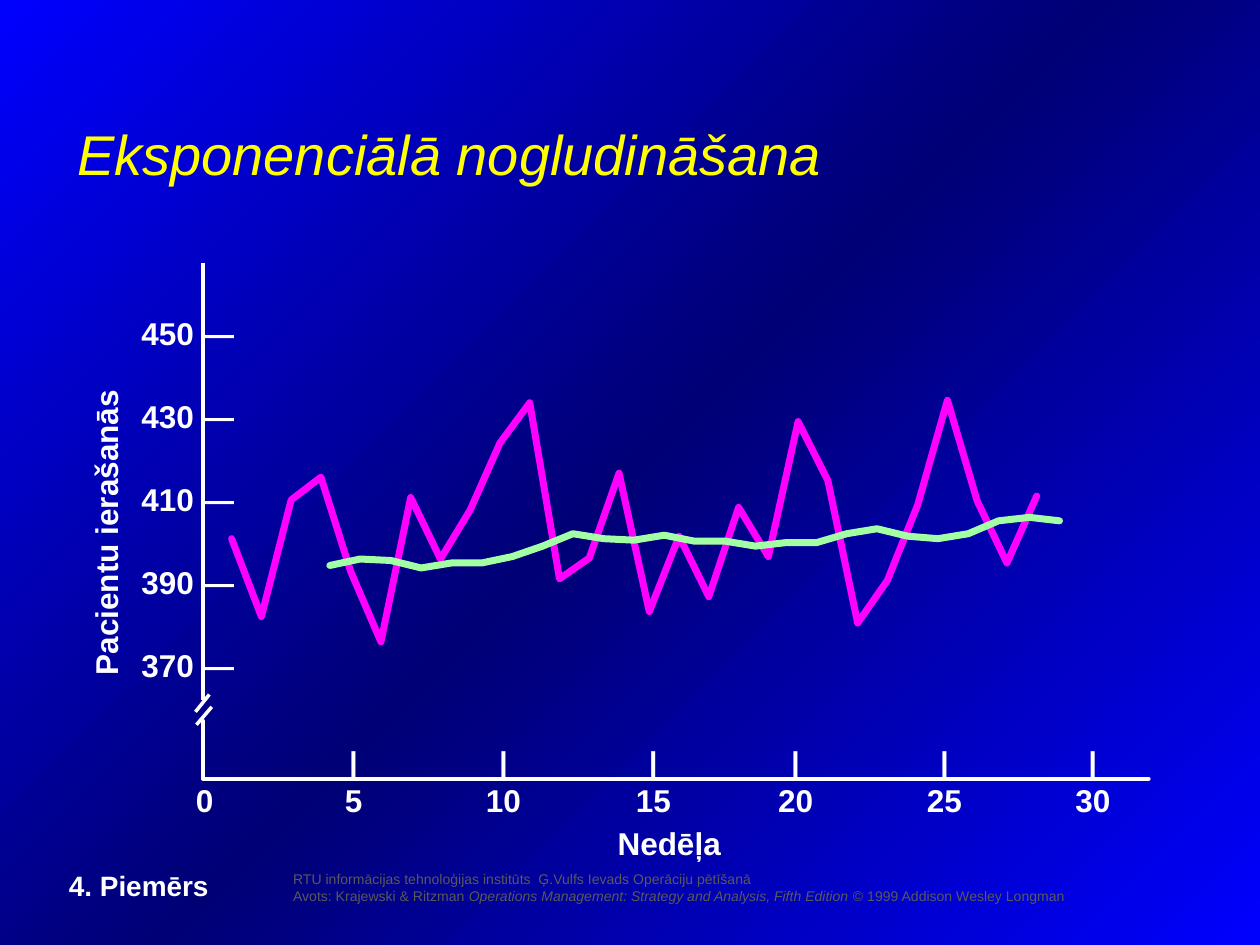
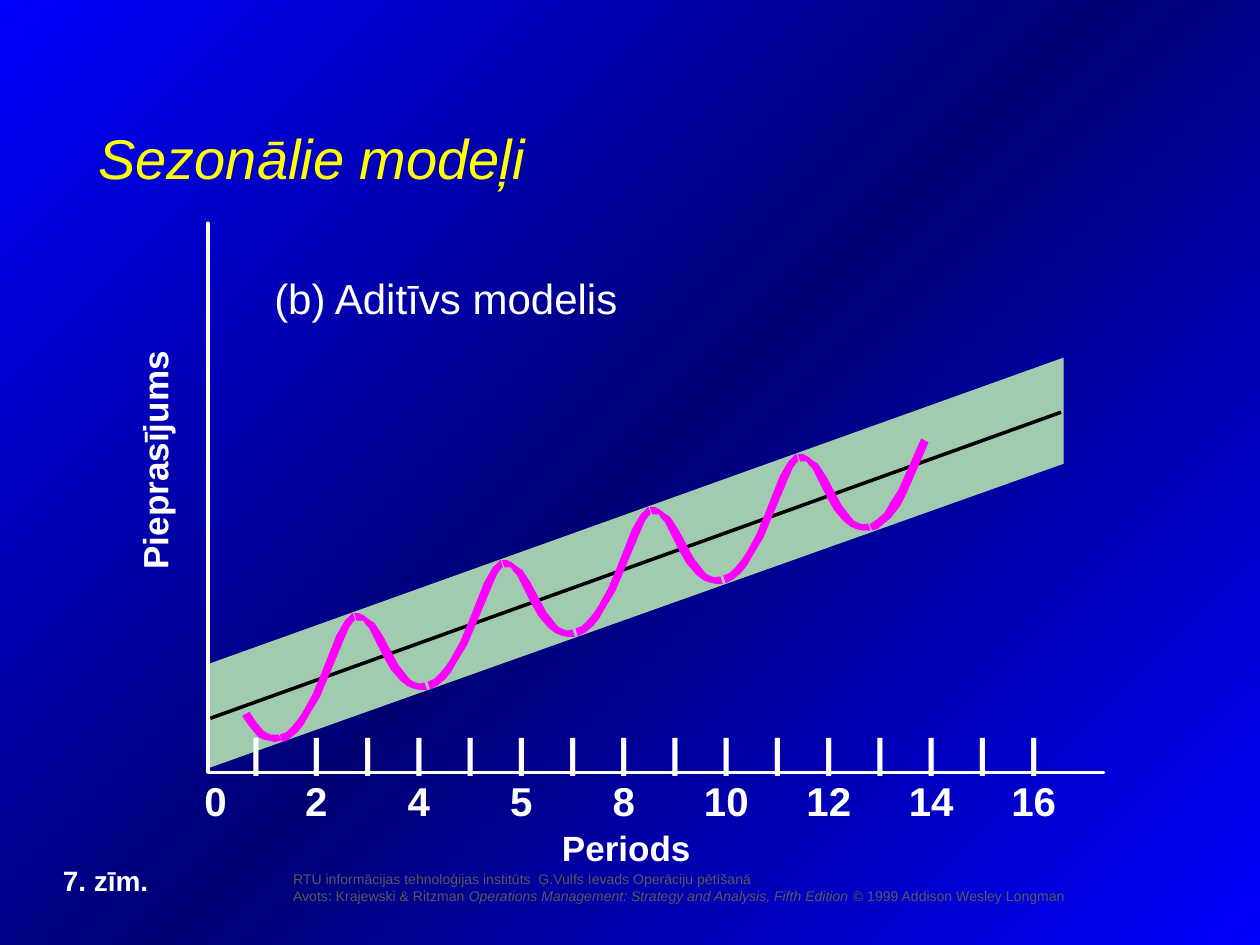
from dataclasses import dataclass

from lxml import etree
from pptx import Presentation
from pptx import util as u
from pptx.dml.color import RGBColor
from pptx.enum import shapes, text
from pptx.oxml import ns


@dataclass(frozen=True)
class Theme:
    font: str = "Arial"
    bright: str = "0000FF"
    deep: str = "000075"
    title: str = "FFFF00"
    ink: str = "FFFFFF"
    muted: str = "595959"
    demand: str = "FF00FF"
    smooth: str = "A2FFA3"
    band: str = "A1CBAF"
    trend: str = "000000"
    title_size: int = 32
    subtitle_size: int = 24
    period_size: int = 23
    axis_size: int = 20
    label_size: int = 18
    caption_size: int = 16
    footer_size: int = 8
    axis_width: int = 2
    series_width: int = 4


THEME = Theme()

FOOTER = [
    [("RTU informācijas tehnoloģijas institūts  Ģ.Vulfs Ievads Operāciju pētīšanā", False)],
    [("Avots: Krajewski & Ritzman ", False),
     ("Operations Management: Strategy and Analysis, Fifth Edition", True),
     (" © 1999 Addison Wesley Longman", False)],
]

ARRIVALS = [401, 382.2, 410.4, 415.9, 393.1, 376.1, 411, 396.1, 408, 424.1,
            433.8, 391.3, 396.4, 416.8, 383.4, 401.6, 387, 408.6, 396.7, 429.3,
            415, 380.6, 391, 409.2, 434.4, 410.1, 395.2, 411.3]
SMOOTHED = [394.6, 396.1, 395.8, 394, 395.2, 395.2, 396.7, 399.2, 402.2, 401,
            400.7, 401.9, 400.4, 400.4, 399.2, 400.1, 400.1, 402.2, 403.4,
            401.6, 401, 402.2, 405.3, 406.2, 405.3]
ARRIVALS_SPAN = (4.67, 20.9)
SMOOTHED_SPAN = (6.65, 21.36)
PATIENT_TICKS = [450, 430, 410, 390, 370]
TOP_TICK_Y, PATIENT_STEP = 6.77, 1.67 / 20
WEEKS = ["0", "5", "10", "15", "20", "25", "30"]
WEEK_TABS = [3.18, 6.2, 9.22, 12.09, 15.09, 18.08]
WEEK_AXES = [[(4.09, 5.31), (4.09, 14.12)],
             [(4.09, 14.53), (4.09, 15.7), (23.16, 15.7)]]
AXIS_BREAKS = [[(3.94, 14.35), (4.22, 14)], [(3.96, 14.61), (4.27, 14.25)]]

PERIODS = ["0", "2", "4", "5", "8", "10", "12", "14", "16"]
PERIOD_COUNT = 16
PERIOD_TABS = [1.04] + [2.26 + 14.46 * i / 14 for i in range(PERIOD_COUNT - 1)]
BAND = [(21.44, 7.21), (21.44, 9.35), (4.19, 15.49), (4.19, 13.39)]
TREND = [(4.24, 14.48), (21.39, 8.31)]
PERIOD_AXES = [(4.19, 4.5), (4.19, 15.57), (22.25, 15.57)]

SEASONS, SEASON_SHIFT = 4, (2.98, -1.07)
FALL = [(1.47, 1.55), (1.32, 1.55), (1.19, 1.52), (1.07, 1.47), (0.94, 1.37),
        (0.74, 1.14), (0.58, 0.86), (0.3, 0.3), (0.23, 0.23), (0.18, 0.15),
        (0.05, 0.15), (0, 0), (0.1, 0), (0.2, 0.05), (0.3, 0.13), (0.41, 0.2),
        (0.58, 0.46), (0.74, 0.76), (0.89, 1.04), (1.07, 1.27), (1.14, 1.35),
        (1.24, 1.4), (1.32, 1.42), (1.42, 1.4)]
RISE = [(1.52, 0.15), (1.47, 0.2), (1.4, 0.3), (1.3, 0.53), (0.99, 1.27),
        (0.81, 1.7), (0.58, 2.08), (0.48, 2.26), (0.36, 2.41), (0.2, 2.54),
        (0.05, 2.62), (0, 2.46), (0.13, 2.41), (0.25, 2.29), (0.36, 2.16),
        (0.46, 2.01), (0.66, 1.65), (0.84, 1.22), (1.14, 0.46), (1.32, 0.15),
        (1.4, 0.08), (1.47, 0)]
FIRST_DIP = [(0.79, 0.58), (0.66, 0.61), (0.53, 0.58), (0.43, 0.56), (0.33, 0.51),
             (0.15, 0.3), (0, 0.08), (0.15, 0), (0.28, 0.2), (0.43, 0.38),
             (0.51, 0.43), (0.58, 0.46), (0.74, 0.46)]
LAST_RISE = [(1.19, 0.08), (0.74, 1.12), (0.61, 1.37), (0.43, 1.6), (0.25, 1.75),
             (0.15, 1.83), (0.05, 1.85), (0, 1.73), (0.15, 1.63), (0.3, 1.5),
             (0.43, 1.27), (0.58, 1.04), (1.04, 0)]
FALL_START, RISE_START = (7.14, 12.36), (5.64, 12.35)
FIRST_DIP_START, LAST_RISE_START = (4.88, 14.35), (17.53, 8.84)


def color(value):
    return RGBColor.from_string(value)


def set_line(line, value, width):
    line.fill.solid()
    line.fill.fore_color.rgb = color(value)
    line.width = u.Pt(width)


def round_ends(line):
    stroke = line._get_or_add_ln()
    stroke.set("cap", "rnd")
    etree.SubElement(stroke, ns.qn("a:round"))


def add_span(para, words, size, value, bold=False, italic=False):
    span = para.add_run()
    span.text = words
    span.font.name = THEME.font
    span.font.size = u.Pt(size)
    span.font.color.rgb = color(value)
    span.font.bold = bold
    span.font.italic = italic


def add_tabs(para, stops):
    tabs = etree.SubElement(para._p.get_or_add_pPr(), ns.qn("a:tabLst"))
    for stop in stops:
        etree.SubElement(tabs, ns.qn("a:tab"), pos=str(u.Cm(stop)), algn="ctr")


def add_label(page, lines, place, size, bold=True, value=THEME.ink,
              inset=(0.25, 0.13), tabs=(), spacing=None, rotation=0):
    box = page.shapes.add_textbox(*map(u.Cm, place))
    box.rotation = rotation
    frame = box.text_frame
    frame.word_wrap = True
    frame.margin_left = frame.margin_right = u.Cm(inset[0])
    frame.margin_top = frame.margin_bottom = u.Cm(inset[1])
    for i, spans in enumerate(lines):
        para = frame.add_paragraph() if i else frame.paragraphs[0]
        if tabs:
            add_tabs(para, tabs)
        if spacing:
            para.line_spacing = spacing
        for words, italic in spans:
            add_span(para, words, size, value, bold, italic)
    return box


def plain(*lines):
    return [[(line, False)] for line in lines]


def add_outline(page, points, origin=(0, 0), fill=None, line=None, width=THEME.axis_width):
    grid = [(round(x * 100), round(y * 100)) for x, y in points]
    builder = page.shapes.build_freeform(*grid[0], scale=float(u.Cm(0.01)))
    builder.add_line_segments(grid[1:], close=fill is not None)
    shape = builder.convert_to_shape(*map(u.Cm, origin))
    shape.shadow.inherit = False
    if fill:
        shape.fill.solid()
        shape.fill.fore_color.rgb = color(fill)
        shape.line.fill.background()
    else:
        shape.fill.background()
        set_line(shape.line, line, width)
        round_ends(shape.line)


def add_line(page, ends, value):
    start, end = ends
    line = page.shapes.add_connector(shapes.MSO_CONNECTOR.STRAIGHT,
                                     *map(u.Cm, (*start, *end)))
    set_line(line.line, value, THEME.axis_width)
    etree.SubElement(line._element.spPr, ns.qn("a:effectLst"))


def add_series(page, values, span, value):
    left, right = span
    step = (right - left) / (len(values) - 1)
    points = [(left + i * step, TOP_TICK_Y + (PATIENT_TICKS[0] - v) * PATIENT_STEP)
              for i, v in enumerate(values)]
    add_outline(page, points, line=value, width=THEME.series_width)


def add_page(deck, heading, place):
    page = deck.slides.add_slide(deck.slide_layouts[5])
    title = page.shapes.title
    title.left, title.top, title.width, title.height = map(u.Cm, place)
    frame = title.text_frame
    frame.auto_size = text.MSO_AUTO_SIZE.NONE
    frame.vertical_anchor = text.MSO_ANCHOR.MIDDLE
    para = frame.paragraphs[0]
    para.alignment = text.PP_ALIGN.LEFT
    add_span(para, heading, THEME.title_size, THEME.title, italic=True)
    return page


def set_background(master):
    fill = master.background.fill
    fill.gradient()
    fill.gradient_angle = 135
    stops = master.element.find(".//" + ns.qn("p:bgPr")).find(".//" + ns.qn("a:gsLst"))
    for stop in list(stops):
        stops.remove(stop)
    for position, value in ((0, THEME.bright), (50, THEME.deep), (100, THEME.bright)):
        stop = etree.SubElement(stops, ns.qn("a:gs"), pos=str(position * 1000))
        etree.SubElement(stop, ns.qn("a:srgbClr"), val=value)


def share_footer(page):
    box = add_label(page, FOOTER, (5.66, 17.42, 19.74, 0.94), THEME.footer_size,
                    bold=False, value=THEME.muted)
    box._element.nvSpPr.cNvPr.id = 90
    page.slide_layout.shapes._spTree.append(box._element)


def draw_smoothing(page):
    add_series(page, ARRIVALS, ARRIVALS_SPAN, THEME.demand)
    add_line(page, WEEK_AXES[0], THEME.ink)
    add_outline(page, WEEK_AXES[1], line=THEME.ink)
    for ends in AXIS_BREAKS:
        add_line(page, ends, THEME.ink)
    size = THEME.label_size
    add_label(page, plain(*(f"{tick} —" for tick in PATIENT_TICKS)),
              (2.6, 5.28, 2.6, 8.64), size, spacing=2.2)
    add_label(page, plain("Pacientu ierašanās"), (-0.87, 9.6, 6.75, 1.78), size, rotation=270)
    add_label(page, plain("\t|" * len(WEEK_TABS), "\t".join(WEEKS)),
              (3.7, 14.85, 20, 1.78), size, tabs=WEEK_TABS)
    add_series(page, SMOOTHED, SMOOTHED_SPAN, THEME.smooth)
    add_label(page, plain("Nedēļa"), (12.2, 16.48, 3, 1.02), size)
    add_label(page, plain("4. Piemērs"), (1.14, 17.37, 3.7, 0.94), THEME.caption_size)


def draw_seasons(page):
    inset = (0.33, 0.18)
    add_outline(page, BAND, fill=THEME.band)
    add_line(page, TREND, THEME.trend)
    add_outline(page, PERIOD_AXES, line=THEME.ink)
    add_label(page, plain("Periods"), (11, 16.48, 3.8, 1.19), THEME.axis_size, inset=inset)
    add_label(page, plain("\t|" * PERIOD_COUNT, "\t\t".join(PERIODS)),
              (3.79, 14.49, 19, 2.29), THEME.period_size, inset=inset, tabs=PERIOD_TABS)
    add_label(page, plain("Pieprasījums"), (0.33, 8.44, 5.55, 1.19), THEME.axis_size,
              inset=inset, rotation=270)
    add_label(page, plain("(b) Aditīvs modelis"), (5.28, 5.36, 8, 1.27),
              THEME.subtitle_size, bold=False)
    add_outline(page, FIRST_DIP, FIRST_DIP_START, fill=THEME.demand)
    for season in range(SEASONS):
        for piece, start in ((RISE, RISE_START), (FALL, FALL_START)):
            origin = [a + season * b for a, b in zip(start, SEASON_SHIFT)]
            add_outline(page, piece, origin, fill=THEME.demand)
    add_outline(page, LAST_RISE, LAST_RISE_START, fill=THEME.demand)
    add_label(page, plain("7. zīm."), (1.02, 17.27, 2.6, 0.94), THEME.caption_size)


def main():
    deck = Presentation()
    deck.slide_width, deck.slide_height = u.Cm(25.4), u.Cm(19.05)
    set_background(deck.slide_master)
    smoothing = add_page(deck, "Eksponenciālā nogludināšana", (1.3, 1.81, 19.48, 2.54))
    share_footer(smoothing)
    draw_smoothing(smoothing)
    draw_seasons(add_page(deck, "Sezonālie modeļi", (1.73, 1.48, 22.23, 3.38)))
    deck.save("out.pptx")


if __name__ == "__main__":
    main()
